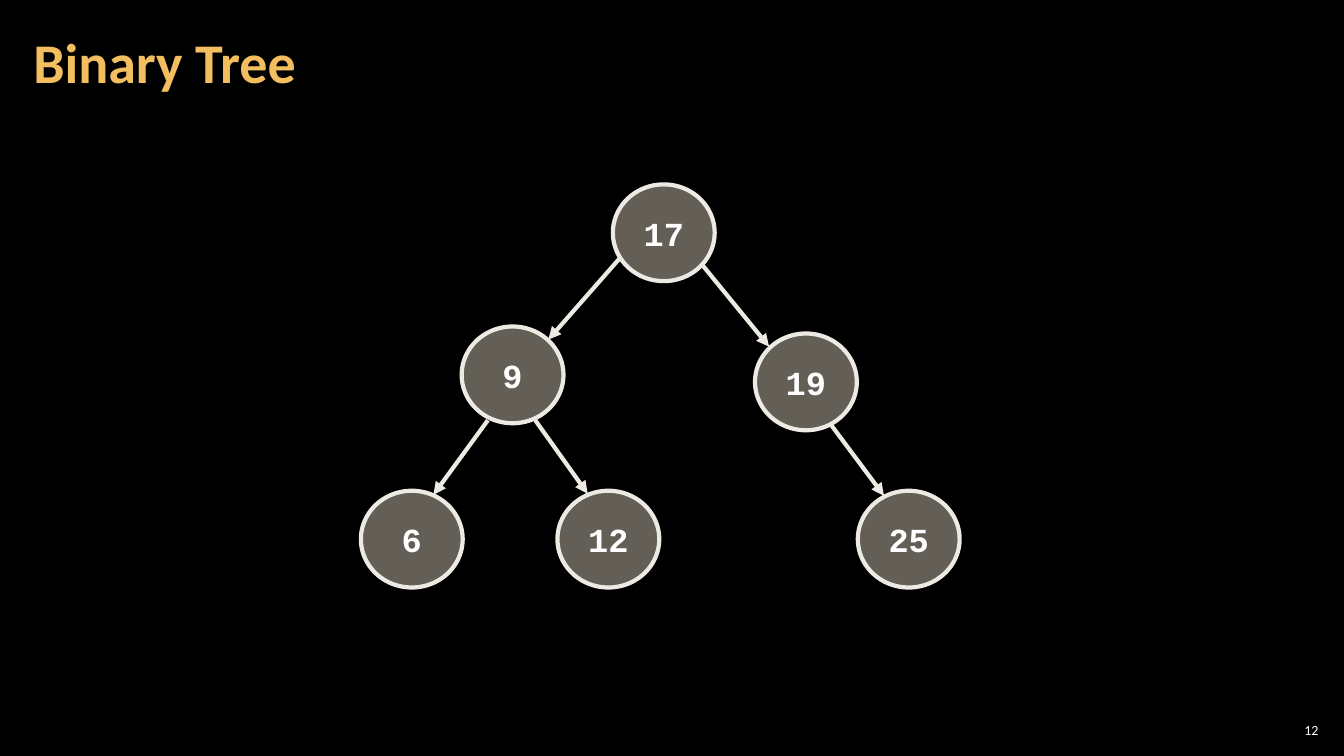
from lxml import etree
from pptx import Presentation
from pptx import util as u
from pptx.dml.color import RGBColor
from pptx.enum import shapes, text
from pptx.oxml import ns

BLACK = RGBColor(0x00, 0x00, 0x00)
WHITE = RGBColor(0xFF, 0xFF, 0xFF)
GOLD = RGBColor(0xF3, 0xBE, 0x60)
STONE = RGBColor(0xC7, 0xBF, 0xAC)
IVORY = RGBColor(0xEC, 0xEA, 0xE3)

# The slide is 40 columns by 22.5 rows of square cells.
WIDTH, HEIGHT = u.Inches(13.33), u.Inches(7.5)
CELL = WIDTH / 40

NODE_SIZE = (3.03, 2.88)
LEAF_ROW = 14.61
NODES = {
    "17": (18.24, 5.49),
    "19": (22.47, 9.93),
    "9": (13.74, 9.72),
    "6": (10.74, LEAF_ROW),
    "12": (16.59, LEAF_ROW),
    "25": (25.53, LEAF_ROW),
}
# Column and row of each end, as offsets from the corners of parent and child.
EDGES = [
    ("17", (0.24, 2.16), "9", (2.58, 0.39)),
    ("9", (0.78, 2.79), "6", (2.16, 0.12)),
    ("9", (2.19, 2.79), "12", (0.9, 0.09)),
    ("17", (2.64, 2.37), "19", (0.42, 0.39)),
    ("19", (2.25, 2.7), "25", (0.78, 0.15)),
]

TITLE = dict(size=u.Pt(40), name="Calibri", bold=True)
PAGE = dict(size=u.Pt(10), name="Calibri", bold=False)
KEY = dict(size=u.Pt(24), name="Courier New", bold=True)


def cells(*lengths):
    return [u.Emu(round(length * CELL)) for length in lengths]


def set_text(holder, words, style, color, align, wrap):
    frame = holder.text_frame
    frame.word_wrap = wrap
    frame.vertical_anchor = text.MSO_ANCHOR.MIDDLE
    line = frame.paragraphs[0]
    line.text = words
    line.alignment = align
    for key, value in style.items():
        setattr(line.font, key, value)
    line.font.color.rgb = color
    return frame


def add_label(slide, words, place, style, color, align, side_inset):
    label = slide.shapes.add_textbox(*cells(*place))
    frame = set_text(label, words, style, color, align, True)
    insets = dict(margin_left=side_inset, margin_right=side_inset,
                  margin_top=0.04, margin_bottom=0.04)
    for key, value in insets.items():
        setattr(frame, key, u.Inches(value))
    return frame


def outline(line):
    line.color.rgb = IVORY
    line.width = u.Pt(3)


def add_node(tree, key, corner):
    node = tree.shapes.add_shape(shapes.MSO_SHAPE.OVAL, *cells(*corner, *NODE_SIZE))
    node.shadow.inherit = False
    node.fill.solid()
    node.fill.fore_color.rgb = STONE
    tint = next(node.element.spPr.iter(ns.qn("a:srgbClr")))
    etree.SubElement(tint, ns.qn("a:alpha"), val="50000")
    outline(node.line)
    set_text(node, key, KEY, WHITE, text.PP_ALIGN.CENTER, False)


def add_edge(tree, parent, start, child, end):
    """Draw an arrow from a parent node to its child."""
    ends = [corner + offset
            for key, offsets in ((parent, start), (child, end))
            for corner, offset in zip(NODES[key], offsets)]
    edge = tree.shapes.add_connector(shapes.MSO_CONNECTOR.STRAIGHT, *cells(*ends))
    outline(edge.line)
    etree.SubElement(edge.line._get_or_add_ln(), ns.qn("a:tailEnd"), type="triangle")
    etree.SubElement(edge._element.spPr, ns.qn("a:effectLst"))


def main():
    deck = Presentation()
    deck.slide_width, deck.slide_height = WIDTH, HEIGHT
    slide = deck.slides.add_slide(deck.slide_layouts[6])
    slide.background.fill.solid()
    slide.background.fill.fore_color.rgb = BLACK

    add_label(slide, "12", (37.95, 21.42, 1.41, 0.63), PAGE, WHITE,
              text.PP_ALIGN.RIGHT, 0.04)
    title = add_label(slide, "Binary Tree", (0.63, 0.12, 31.41, 3.63), TITLE, GOLD,
                      text.PP_ALIGN.LEFT, 0.12)
    title.paragraphs[0].line_spacing = 0.9

    tree = slide.shapes.add_group_shape()
    for key, corner in NODES.items():
        add_node(tree, key, corner)
    for edge in EDGES:
        add_edge(tree, *edge)
    deck.save("out.pptx")


if __name__ == "__main__":
    main()
